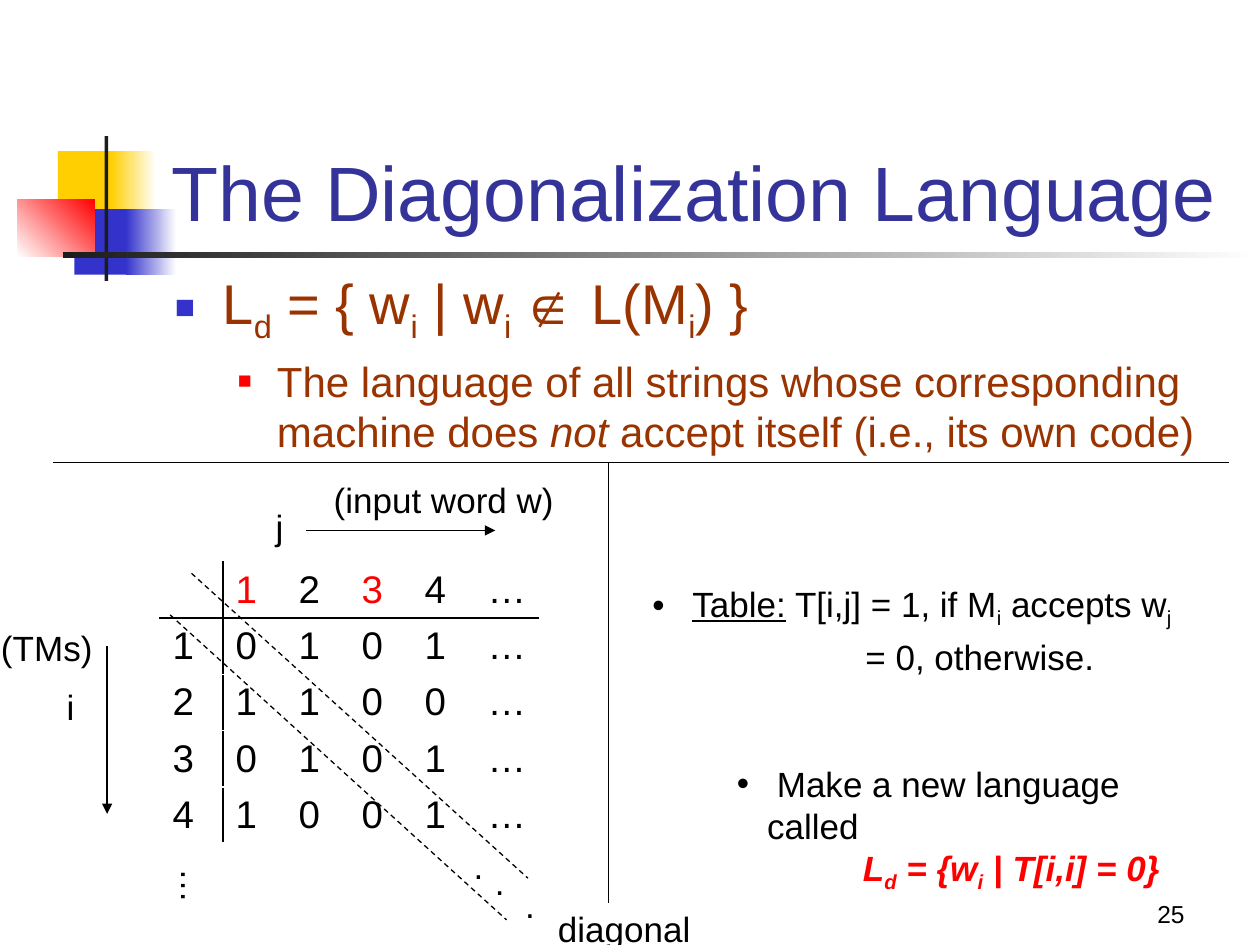
from dataclasses import dataclass

from lxml.etree import SubElement
from pptx import Presentation
from pptx.dml.color import RGBColor
from pptx.enum.dml import MSO_LINE
from pptx.enum.shapes import MSO_CONNECTOR, MSO_SHAPE
from pptx.enum.text import MSO_ANCHOR, MSO_AUTO_SIZE, PP_ALIGN
from pptx.oxml.ns import qn
from pptx.util import Inches, Pt


@dataclass(frozen=True)
class Theme:
    font: str = "Arial"
    black: str = "000000"
    ink: str = "1C1C1C"
    white: str = "FFFFFF"
    yellow: str = "FFCF01"
    blue: str = "3333CC"
    red: str = "FF0000"
    title: str = "333399"
    brown: str = "993300"
    title_size: int = 44
    lead_size: int = 32
    body_size: int = 24
    cell_size: int = 22
    label_size: int = 20
    number_size: int = 14
    line: float = 0.75
    border: float = 1


THEME = Theme()


def rgb(value):
    return RGBColor.from_string(value)


def add_spans(para, spans, size, color):
    """Add (text, style) runs; style letters: s subscript, b bold, i italic, u underline."""
    for text, style in spans:
        span = para.add_run()
        span.text = text
        font = span.font
        font.name, font.size = THEME.font, Pt(size)
        font.color.rgb = rgb(color)
        for letter, name in (("b", "bold"), ("i", "italic"), ("u", "underline")):
            if letter in style:
                setattr(font, name, True)
        if "s" in style:
            span._r.get_or_add_rPr().set("baseline", "-25000")


def set_bullet(para, mark, left, hang, color=THEME.black, percent=100):
    props = para._p.get_or_add_pPr()
    props.set("marL", str(Inches(left)))
    props.set("indent", str(Inches(-hang)))
    if mark:
        tint = SubElement(props, qn("a:buClr"))
        SubElement(tint, qn("a:srgbClr"), val=color)
        SubElement(props, qn("a:buSzPct"), val=str(percent * 1000))
        SubElement(props, qn("a:buFont"), typeface=THEME.font)
        SubElement(props, qn("a:buChar"), char=mark)


def add_box(page, left, top, width, height, wrap=True):
    box = page.shapes.add_textbox(Inches(left), Inches(top), Inches(width), Inches(height))
    box.text_frame.word_wrap = wrap
    return box


def add_label(page, text, left, top, width, height=0.43):
    box = add_box(page, left, top, width, height, wrap=False)
    add_spans(box.text_frame.paragraphs[0], [(text, "")], THEME.label_size, THEME.black)
    return box


def add_line(page, start, end, arrow=False, dashed=False):
    line = page.shapes.add_connector(
        MSO_CONNECTOR.STRAIGHT, *(Inches(value) for value in (*start, *end)))
    line.line.color.rgb = rgb(THEME.black)
    line.line.width = Pt(THEME.line)
    if dashed:
        line.line.dash_style = MSO_LINE.DASH
    if arrow:
        SubElement(line.line._get_or_add_ln(), qn("a:tailEnd"), type="triangle")
    SubElement(line._element.spPr, qn("a:effectLst"))


def add_block(page, left, top, width, height, colors, angle=0):
    """Add a rectangle with one plain colour or a gradient between two."""
    block = page.shapes.add_shape(
        MSO_SHAPE.RECTANGLE, Inches(left), Inches(top), Inches(width), Inches(height))
    block.shadow.inherit = False
    block.line.fill.background()
    if len(colors) == 1:
        block.fill.solid()
        block.fill.fore_color.rgb = rgb(colors[0])
        return
    block.fill.gradient()
    block.fill.gradient_angle = angle
    for stop, color in zip(block.fill.gradient_stops, colors):
        stop.color.rgb = rgb(color)


def add_ornament(page, left, top):
    t = THEME
    for x, y, width, height, colors, angle in (
        (0.32, 0.12, 0.48, 0.52, [t.yellow], 0),
        (0.74, 0.12, 0.36, 0.52, [t.yellow, t.white], 0),
        (0.45, 0.58, 0.46, 0.52, [t.blue], 0),
        (0.86, 0.58, 0.4, 0.52, [t.blue, t.white], 0),
        (0, 0.5, 0.61, 0.46, [t.white, t.red], 45),
        (0.69, 0, 0.03, 1.15, [t.ink], 0),
        (0.36, 0.92, 9.5, 0.05, [t.ink, t.white], 0),
    ):
        add_block(page, left + x, top + y, width, height, colors, angle)


def set_title(page, text, left, top, width, height):
    title = page.shapes.title
    title.left, title.top = Inches(left), Inches(top)
    title.width, title.height = Inches(width), Inches(height)
    frame = title.text_frame
    frame.auto_size = MSO_AUTO_SIZE.NONE
    frame.vertical_anchor = MSO_ANCHOR.BOTTOM
    frame.paragraphs[0].alignment = PP_ALIGN.LEFT
    add_spans(frame.paragraphs[0], [(text, "")], THEME.title_size, THEME.title)


def add_definition(page, left, top, width, height):
    frame = add_box(page, left, top, width, height).text_frame
    lead = frame.paragraphs[0]
    set_bullet(lead, "■", 0.38, 0.38, THEME.blue, 60)
    add_spans(lead, [("L", ""), ("d", "s"), (" = { w", ""), ("i", "s"), (" | w", ""),
                     ("i ", "s"), ("∉ L(M", ""), ("i", "s"), (") }", "")],
              THEME.lead_size, THEME.brown)
    detail = frame.add_paragraph()
    set_bullet(detail, "■", 0.81, 0.31, THEME.red, 55)
    detail.space_before = Pt(6)
    add_spans(detail, [("The language of all strings whose corresponding machine does ", ""),
                       ("not", "i"), (" accept itself (i.e., its own code)", "")],
              THEME.body_size, THEME.brown)


def set_borders(cell, sides):
    props = cell._tc.get_or_add_tcPr()
    for side in sides:
        edge = SubElement(props, qn(f"a:ln{side}"), w=str(Pt(THEME.border)))
        SubElement(SubElement(edge, qn("a:solidFill")), qn("a:srgbClr"), val=THEME.black)


def add_acceptance_table(page, left, top, column=0.5, row=0.44):
    rows = [" 1234…", "10101…", "21100…", "30101…", "41001…"]
    table = page.shapes.add_table(
        len(rows), len(rows[0]), Inches(left), Inches(top),
        Inches(column * len(rows[0])), Inches(row * len(rows))).table
    table.first_row = table.horz_banding = False
    for r, marks in enumerate(rows):
        for c, mark in enumerate(marks):
            cell = table.cell(r, c)
            sides = [("L", c == 1), ("R", c == 0), ("T", r == 1), ("B", r == 0)]
            set_borders(cell, [side for side, drawn in sides if drawn])
            cell.fill.background()
            cell.vertical_anchor = MSO_ANCHOR.MIDDLE
            cell.margin_top = cell.margin_bottom = Inches(0.04)
            color = THEME.red if r == 0 and mark in "13" else THEME.black
            add_spans(cell.text_frame.paragraphs[0], [(mark.strip(), "")] if mark.strip() else [],
                      THEME.cell_size, color)


def add_table_region(page, left, top):
    """Place the table with its axes and the band along its diagonal."""
    add_acceptance_table(page, left, top)
    add_line(page, (left - 0.42, top + 0.67), (left - 0.42, top + 2), arrow=True)
    add_line(page, (left + 1.16, top - 0.25), (left + 2.66, top - 0.25), arrow=True)
    for x, y in ((0.08, 0.42), (0.25, 0.09)):
        add_line(page, (left + x, top + y), (left + x + 2.67, top + y + 2.42), dashed=True)
    for text, x, y, width in (
        ("i", -0.84, 0.93, 0.26), ("j", 0.82, -0.5, 0.26),
        ("(TMs)", -1.36, 0.46, 0.93), ("(input word w)", 1.28, -0.71, 1.95),
        (".", 2.39, 2.19, 0.28), (".", 2.56, 2.32, 0.28), (".", 2.8, 2.5, 0.28),
        ("diagonal", 3.06, 2.69, 1.25),
    ):
        add_label(page, text, left + x, top + y, width)
    add_label(page, "…", left + 0.04, top + 2.36, 0.48).rotation = 90


def add_note(page, left, top, width, height, first, second, indent, color, gap=0):
    """Place a bulleted line and an indented line under it."""
    frame = add_box(page, left, top, width, height).text_frame
    set_bullet(frame.paragraphs[0], "•", 0.24, 0.24)
    add_spans(frame.paragraphs[0], first, THEME.label_size, THEME.black)
    para = frame.add_paragraph()
    set_bullet(para, None, indent, 0)
    para.space_before = Pt(gap)
    add_spans(para, second, THEME.label_size, color)


def add_page_number(page, text, left, top, width, height):
    frame = add_box(page, left, top, width, height).text_frame
    frame.vertical_anchor = MSO_ANCHOR.BOTTOM
    frame.paragraphs[0].alignment = PP_ALIGN.RIGHT
    add_spans(frame.paragraphs[0], [(text, "")], THEME.number_size, THEME.black)


def main():
    deck = Presentation()
    deck.slide_width, deck.slide_height = Inches(10), Inches(7.5)
    page = deck.slides.add_slide(deck.slide_layouts[5])
    add_ornament(page, 0.14, 1.08)
    set_title(page, "The Diagonalization Language", 1.26, 0.68, 8.52, 1.25)
    add_definition(page, 1.29, 2.08, 8.5, 1.54)
    add_line(page, (0.42, 3.67), (9.75, 3.67))
    add_line(page, (4.83, 3.67), (4.83, 7.17))
    add_table_region(page, 1.27, 4.46)
    add_note(page, 5.08, 4.57, 4.67, 1.1,
             [(" ", ""), ("Table:", "u"), (" T[i,j] = 1, if M", ""), ("i", "s"),
              (" accepts w", ""), ("j", "s")],
             [("= 0, otherwise.", "")], 1.69, THEME.black, gap=3)
    add_note(page, 5.75, 6, 3.9, 1.1, [(" Make a new language called", "")],
             [("L", "bi"), ("d", "bis"), (" = {w", "bi"), ("i", "bis"),
              (" | T[i,i] = 0}", "bi")], 1, THEME.red)
    add_page_number(page, "25", 7.42, 6.92, 2.08, 0.5)
    deck.save("out.pptx")


if __name__ == "__main__":
    main()
